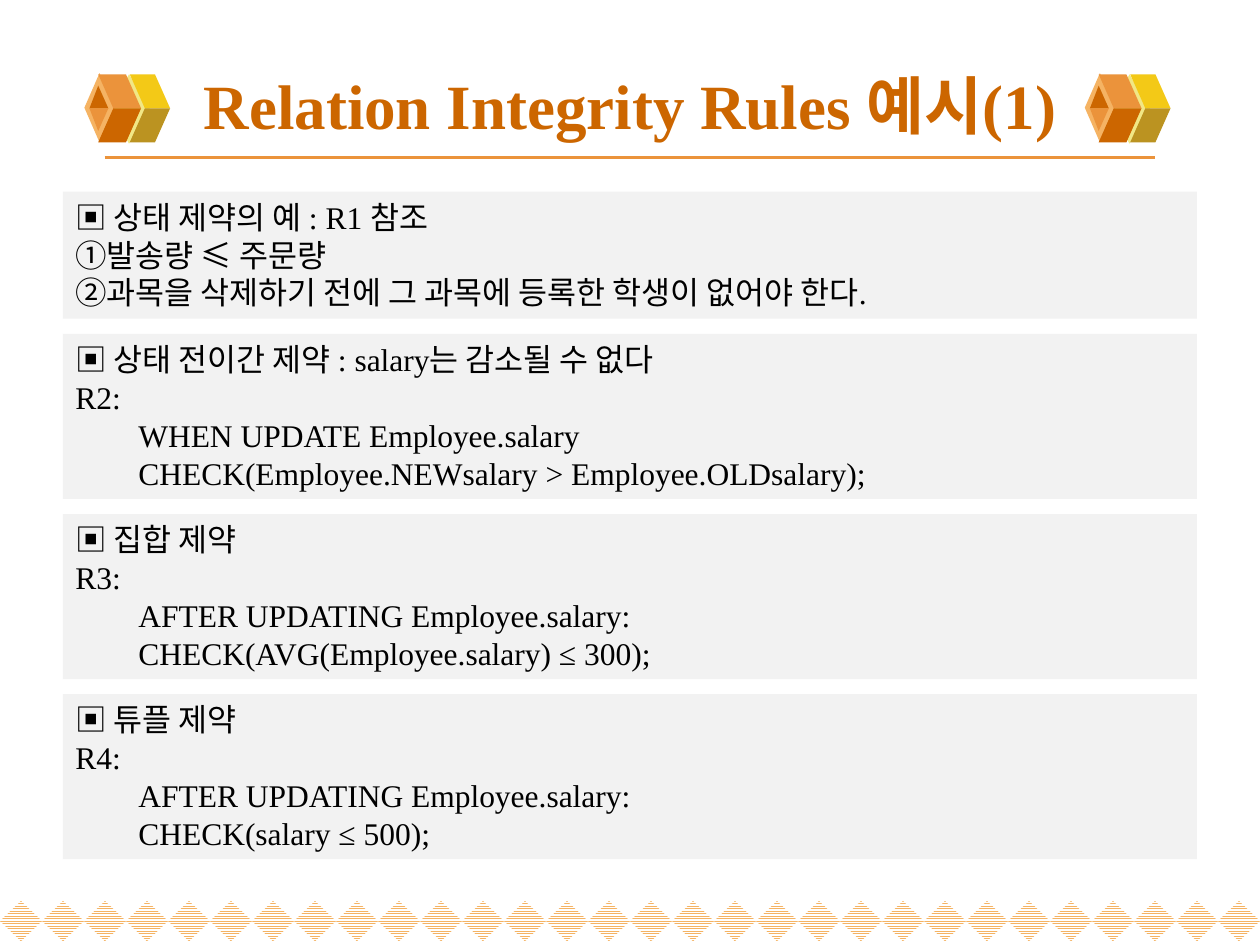
from dataclasses import dataclass

from pptx import Presentation
from pptx import util as u
from pptx.dml.color import RGBColor
from pptx.enum import dml, shapes, text
from pptx.oxml import parse_xml
from pptx.oxml.ns import nsdecls


@dataclass(frozen=True)
class Theme:
    font: str = "Times New Roman"
    head: int = 36
    body: int = 18
    ink: str = "000000"
    paper: str = "FFFFFF"
    panel: str = "F2F2F2"
    rust: str = "CC6600"
    orange: str = "EB933B"
    peach: str = "F5B363"
    cream: str = "F1E785"
    yellow: str = "F3C917"
    olive: str = "BB9321"


def rgb(code):
    return RGBColor.from_string(code)


class Deck:
    def __init__(self, theme):
        self.theme = theme
        self.prs = Presentation()
        self.prs.slide_width = u.Inches(10)
        self.prs.slide_height = u.Inches(7.5)
        self.slide = self.prs.slides.add_slide(self.prs.slide_layouts[5])
        self.items = self.slide.shapes

    def plain(self, shape, color):
        shape.shadow.inherit = False
        shape.line.fill.background()
        shape.fill.solid()
        shape.fill.fore_color.rgb = rgb(color)
        return shape

    def shape(self, kind, box, color):
        shape = self.items.add_shape(kind, *map(u.Inches, box))
        return self.plain(shape, color)

    def free(self, points, color):
        start, *rest = [(u.Inches(x), u.Inches(y)) for x, y in points]
        form = self.items.build_freeform(*start)
        form.add_line_segments(rest, close=True)
        return self.plain(form.convert_to_shape(), color)

    def rule(self, left, right, top):
        line = self.items.add_connector(
            shapes.MSO_CONNECTOR.STRAIGHT,
            u.Inches(left), u.Inches(top), u.Inches(right), u.Inches(top))
        line.line.color.rgb = rgb(self.theme.orange)
        line.line.width = u.Pt(2.25)
        line._element.spPr.append(parse_xml(f"<a:effectLst {nsdecls('a')}/>"))

    def border(self, top, count):
        """Row of hatched diamonds across the whole slide."""
        step = 10 / count
        for i in range(count):
            gem = self.shape(shapes.MSO_SHAPE.DIAMOND,
                             (i * step, top, step, 0.32), self.theme.peach)
            gem.fill.patterned()
            gem.fill.pattern = dml.MSO_PATTERN.NARROW_HORIZONTAL
            gem.fill.fore_color.rgb = rgb(self.theme.peach)
            gem.fill.back_color.rgb = rgb(self.theme.paper)

    def cube(self, left):
        """Block of two slanted bars, mirrored about its middle line."""
        t, mid = self.theme, 0.86

        def bar(x, width, upper, lower):
            for rise, color in ((-0.27, upper), (0.27, lower)):
                self.free([(left + x + 0.12, mid),
                           (left + x + 0.12 + width, mid),
                           (left + x + width, mid + rise),
                           (left + x, mid + rise)], color)

        gem = shapes.MSO_SHAPE.DIAMOND
        self.shape(gem, (left + 0.19, 0.59, 0.33, 0.55), t.cream)
        bar(0.36, 0.2, t.yellow, t.olive)
        self.shape(gem, (left, 0.58, 0.24, 0.55), t.peach)
        bar(0.11, 0.22, t.orange, t.rust)
        for rise, color in ((-0.18, t.rust), (0.18, t.orange)):
            self.free([(left + 0.11, mid + rise), (left + 0.04, mid),
                       (left + 0.19, mid)], color)

    def run(self, para, words, size, color, bold=False):
        run = para.add_run()
        run.text = words
        run.font.name = self.theme.font
        run.font.size = u.Pt(size)
        run.font.bold = bold
        run.font.color.rgb = rgb(color)

    def title(self, words):
        head = self.items.title
        head.left, head.top = u.Inches(0.5), u.Inches(0.45)
        head.width, head.height = u.Inches(9), u.Inches(0.76)
        frame = head.text_frame
        frame.vertical_anchor = text.MSO_ANCHOR.MIDDLE
        para = frame.paragraphs[0]
        para.alignment = text.PP_ALIGN.CENTER
        self.run(para, words, self.theme.head, self.theme.rust, True)

    def panel(self, top, height, lines, code):
        """Grey box with plain lines, then indented code lines."""
        box = self.shape(shapes.MSO_SHAPE.RECTANGLE,
                         (0.5, top, 9, height), self.theme.panel)
        frame = box.text_frame
        frame.word_wrap = True
        frame.auto_size = text.MSO_AUTO_SIZE.SHAPE_TO_FIT_TEXT
        frame.vertical_anchor = text.MSO_ANCHOR.TOP
        for i, words in enumerate([*lines, *code]):
            para = frame.add_paragraph() if i else frame.paragraphs[0]
            para.alignment = text.PP_ALIGN.LEFT
            if i >= len(lines):
                para.level = 1
                props = para._p.get_or_add_pPr()
                props.set("marL", str(u.Inches(0.5)))
                props.set("indent", "0")
            self.run(para, words, self.theme.body, self.theme.ink)


PANELS = [
    (1.01, ["▣ 상태 제약의 예 : R1 참조",
            "①발송량 ≤ 주문량",
            "②과목을 삭제하기 전에 그 과목에 등록한 학생이 없어야 한다."], []),
    (1.31, ["▣ 상태 전이간 제약 : salary는 감소될 수 없다", "R2:"],
     ["WHEN UPDATE Employee.salary",
      "CHECK(Employee.NEWsalary > Employee.OLDsalary);"]),
    (1.31, ["▣ 집합 제약", "R3:"],
     ["AFTER UPDATING Employee.salary:",
      "CHECK(AVG(Employee.salary) ≤ 300);"]),
    (1.31, ["▣ 튜플 제약", "R4:"],
     ["AFTER UPDATING Employee.salary:",
      "CHECK(salary ≤ 500);"]),
]


def main():
    deck = Deck(Theme())
    deck.title("Relation Integrity Rules 예시(1)")
    deck.border(7.15, 30)
    deck.rule(0.83, 9.17, 1.25)
    for left in (0.67, 8.61):
        deck.cube(left)
    top, gap = 1.52, 0.12
    for height, lines, code in PANELS:
        deck.panel(top, height, lines, code)
        top += height + gap
    deck.prs.save("out.pptx")


if __name__ == "__main__":
    main()
